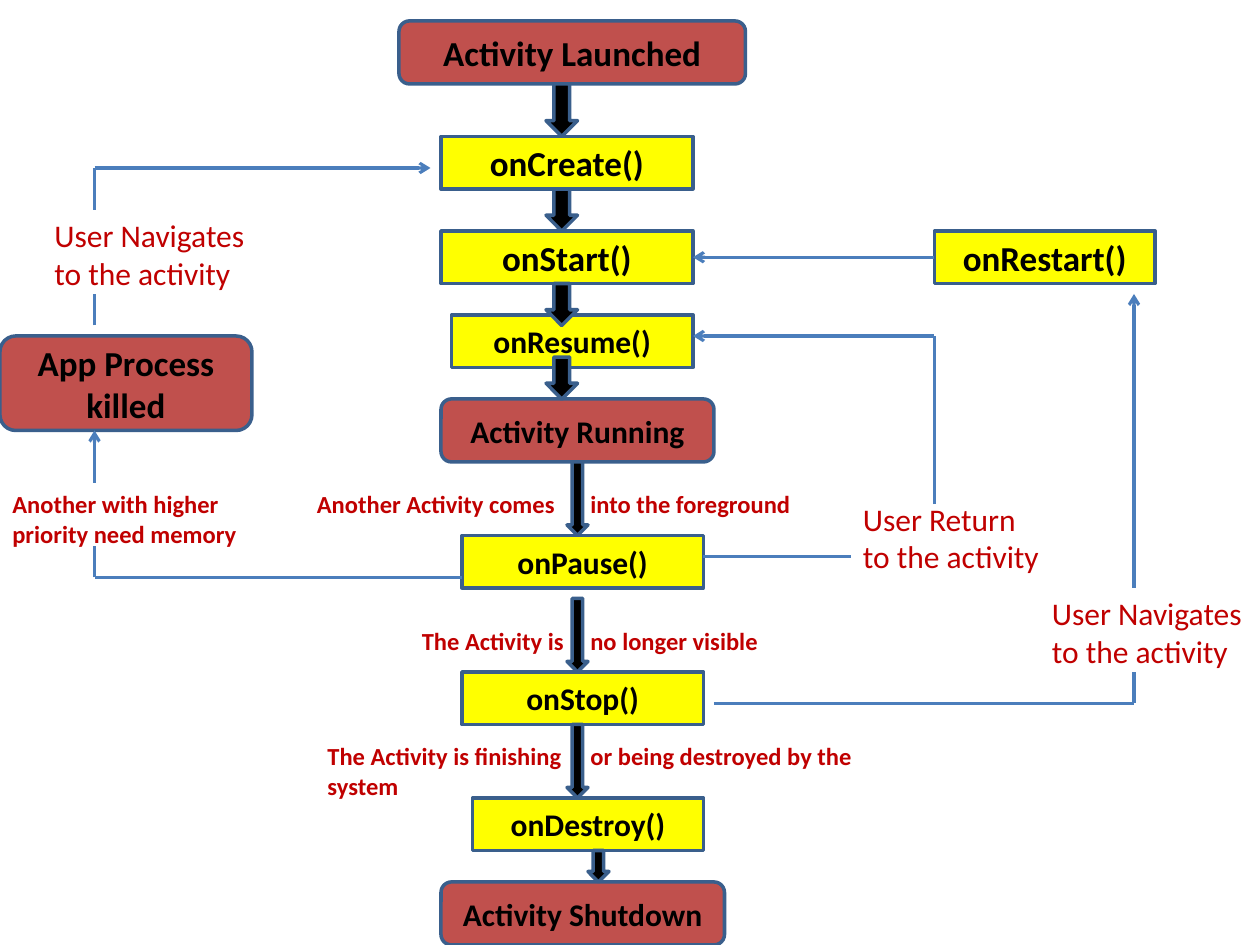
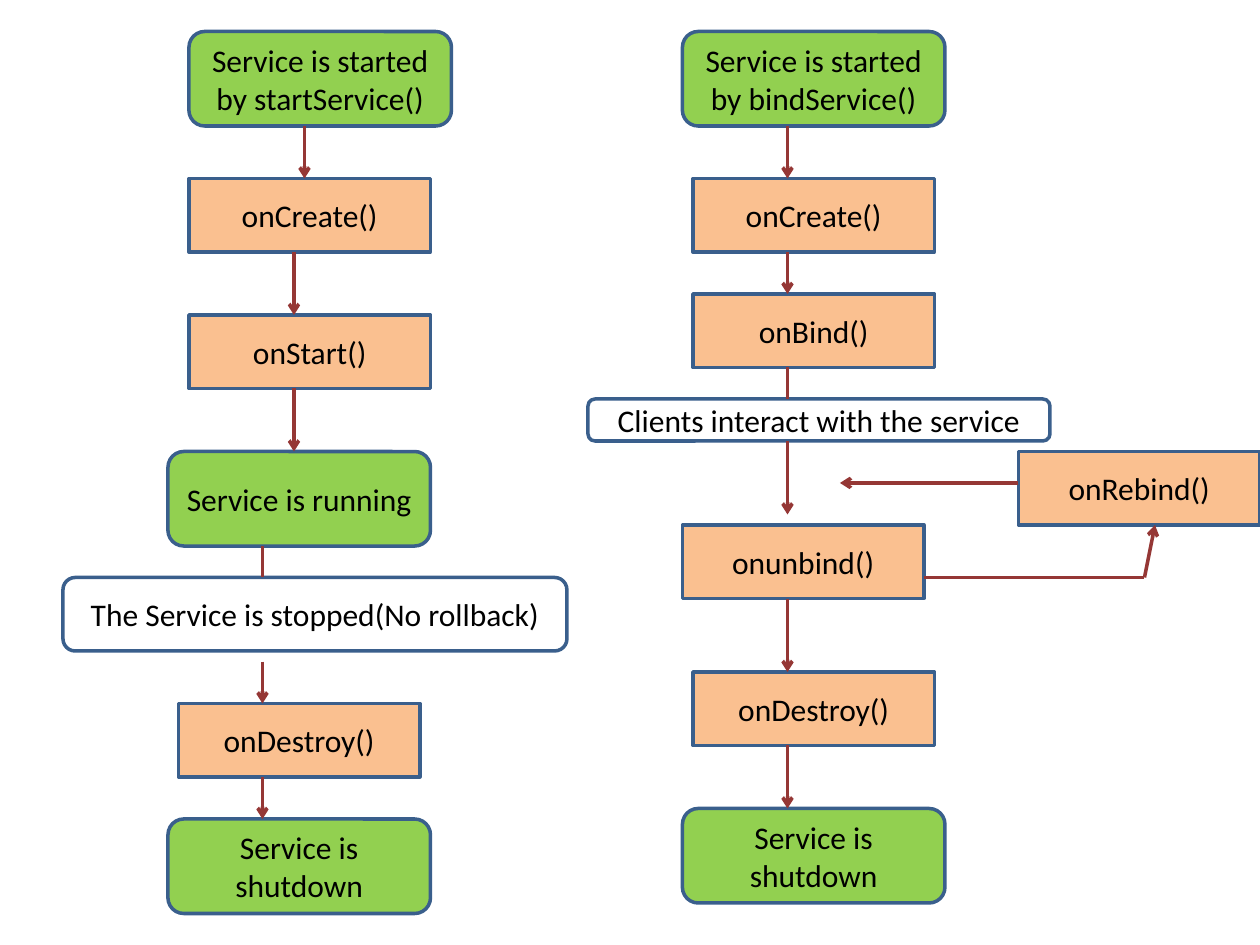
import dataclasses

import pptx
import pptx.dml.color
import pptx.enum.shapes
import pptx.enum.text
import pptx.oxml
import pptx.oxml.ns
import pptx.util
from lxml import etree

COLUMNS, ROWS = 120, 90
WIDTH, HEIGHT = pptx.util.Inches(10), pptx.util.Inches(7.5)
INSET = pptx.util.Inches(0.1)
SPLIT_COLUMN = 56.25

SHAPES = pptx.enum.shapes.MSO_SHAPE
RECT, ROUNDED, DOWN = SHAPES.RECTANGLE, SHAPES.ROUNDED_RECTANGLE, SHAPES.DOWN_ARROW


@dataclasses.dataclass(frozen=True)
class Theme:
    font: str = "Calibri"
    ink: str = "000000"
    outline: str = "3A5F8C"
    state: str = "C0504D"
    callback: str = "FFFF00"
    label: str = "C00000"
    activity_line: str = "4B7EBC"
    service_state: str = "92D050"
    service_callback: str = "FAC090"
    service_note: str = "FFFFFF"
    service_line: str = "953735"
    large: int = 20
    normal: int = 18
    small: int = 14
    border: float = 2
    thin: float = 1.75


THEME = Theme()


def across(columns):
    return round(WIDTH * columns / COLUMNS)


def down(rows):
    return round(HEIGHT * rows / ROWS)


def place(column, row, columns, rows):
    return across(column), down(row), across(columns), down(rows)


def rgb(value):
    return pptx.dml.color.RGBColor.from_string(value)


def write(para, text, size, color, bold):
    span = para.add_run()
    span.text = text
    span.font.name = THEME.font
    span.font.size = pptx.util.Pt(size)
    span.font.bold = bold
    span.font.color.rgb = rgb(color)


def add_outlined(page, kind, cell, fill):
    box = page.shapes.add_shape(kind, *place(*cell))
    box.shadow.inherit = False
    box.fill.solid()
    box.fill.fore_color.rgb = rgb(fill)
    box.line.color.rgb = rgb(THEME.outline)
    box.line.width = pptx.util.Pt(THEME.border)
    return box


def add_node(page, kind, cell, fill, text, size=THEME.normal, bold=False):
    box = add_outlined(page, kind, cell, fill)
    frame = box.text_frame
    frame.word_wrap = True
    frame.vertical_anchor = pptx.enum.text.MSO_ANCHOR.MIDDLE
    para = frame.paragraphs[0]
    para.alignment = pptx.enum.text.PP_ALIGN.CENTER
    write(para, text, size, THEME.ink, bold)
    return box


def add_label(page, cell, text, size=THEME.normal, bold=False):
    box = page.shapes.add_textbox(*place(*cell))
    frame = box.text_frame
    frame.word_wrap = True
    frame.auto_size = pptx.enum.text.MSO_AUTO_SIZE.SHAPE_TO_FIT_TEXT
    write(frame.paragraphs[0], text, size, THEME.label, bold)
    return frame.paragraphs[0]


def add_split_label(page, cell, before, after):
    para = add_label(page, cell, f"{before}\t{after}", THEME.small, True)
    properties = para._p.get_or_add_pPr()
    stops = etree.SubElement(properties, pptx.oxml.ns.qn("a:tabLst"))
    position = across(SPLIT_COLUMN - cell[0]) - INSET
    etree.SubElement(stops, pptx.oxml.ns.qn("a:tab"), pos=str(position), algn="l")


def add_line(page, start, end, color, width, arrow):
    line = page.shapes.add_connector(
        pptx.enum.shapes.MSO_CONNECTOR.STRAIGHT,
        across(start[0]), down(start[1]), across(end[0]), down(end[1]))
    line.line.color.rgb = rgb(color)
    line.line.width = pptx.util.Pt(width)
    properties = line.element.spPr
    if arrow:
        stroke = properties.find(pptx.oxml.ns.qn("a:ln"))
        etree.SubElement(stroke, pptx.oxml.ns.qn("a:tailEnd"), type="arrow")
    etree.SubElement(properties, pptx.oxml.ns.qn("a:effectLst"))
    return line


def add_route(page, points, color, width, arrow=True):
    last = len(points) - 2
    for index, (start, end) in enumerate(zip(points, points[1:])):
        add_line(page, start, end, color, width, arrow and index == last)


def build_activity_page(page):
    states = [
        ((38, 2, 33, 6), "Activity Launched", THEME.large),
        ((42, 38, 26, 6), "Activity Running", THEME.normal),
        ((42, 84, 27, 6), "Activity Shutdown", THEME.normal),
        ((0, 32, 24, 9), "App Process killed", THEME.large),
    ]
    for cell, text, size in states:
        add_node(page, ROUNDED, cell, THEME.state, text, size, True)

    callbacks = [
        (42, 13, 24, "onCreate()", THEME.large),
        (42, 22, 24, "onStart()", THEME.large),
        (43, 30, 23, "onResume()", THEME.normal),
        (44, 51, 23, "onPause()", THEME.normal),
        (44, 64, 23, "onStop()", THEME.normal),
        (45, 76, 22, "onDestroy()", THEME.normal),
        (89, 22, 21, "onRestart()", THEME.large),
    ]
    nodes = {
        text: add_node(page, RECT, (column, row, columns, 5),
                       THEME.callback, text, size, True)
        for column, row, columns, text, size in callbacks
    }

    add_split_label(page, (29, 46, 50, 4),
                    "Another Activity comes", "into the foreground")
    add_split_label(page, (39, 59, 37, 4),
                    "The Activity is", "no longer visible")
    add_split_label(page, (30, 70, 57, 7), "The Activity is finishing",
                    "or being destroyed by the system")
    add_label(page, (0, 46, 25, 7),
              "Another with higher priority need memory", THEME.small, True)
    add_label(page, (81, 47, 20, 8.5), "User Return to the activity")
    for column, row in [(99, 56), (4, 20)]:
        add_label(page, (column, row, 21, 8.5), "User Navigates to the activity")

    block_arrows = [(52, 8, 3, 5)]
    block_arrows += [(52, row, 3, 4) for row in (18, 27, 34)]
    block_arrows += [(54, row, 2, 7) for row in (44, 57, 69)]
    block_arrows += [(56, 81, 2, 3)]
    for cell in block_arrows:
        add_outlined(page, DOWN, cell, THEME.ink)

    routes = [
        ([(44, 55), (9, 55), (9, 52)], False),
        ([(9, 46), (9, 41)], True),
        ([(9, 31), (9, 28)], False),
        ([(9, 20), (9, 16), (41, 16)], True),
        ([(68, 67), (108, 67), (108, 64)], False),
        ([(108, 56), (108, 28)], True),
        ([(67, 53), (81, 53)], False),
        ([(89, 48), (89, 32), (66, 32)], True),
    ]
    for points, arrow in routes:
        add_route(page, points, THEME.activity_line, THEME.thin, arrow)

    restart = add_line(page, (89, 24.5), (66, 24.5),
                       THEME.activity_line, THEME.thin, True)
    restart.begin_connect(nodes["onRestart()"], 1)
    restart.end_connect(nodes["onStart()"], 3)


def build_service_page(page):
    states = [
        (18, 3, "Service is started by startService()"),
        (65, 3, "Service is started by bindService()"),
        (16, 43, "Service is running"),
        (16, 78, "Service is shutdown"),
        (65, 77, "Service is shutdown"),
    ]
    for column, row, text in states:
        add_node(page, ROUNDED, (column, row, 25, 9), THEME.service_state, text)

    callbacks = [
        (18, 17, "onCreate()"),
        (18, 30, "onStart()"),
        (17, 67, "onDestroy()"),
        (66, 17, "onCreate()"),
        (66, 28, "onBind()"),
        (65, 50, "onunbind()"),
        (66, 64, "onDestroy()"),
        (97, 43, "onRebind()"),
    ]
    for column, row, text in callbacks:
        add_node(page, RECT, (column, row, 23, 7), THEME.service_callback, text)

    notes = [
        ((56, 38, 44, 4), "Clients interact with the service"),
        ((6, 55, 48, 7), "The Service is stopped(No rollback)"),
    ]
    for cell, text in notes:
        add_node(page, ROUNDED, cell, THEME.service_note, text)

    drops = [
        (29, 12, 17), (28, 24, 30), (28, 37, 43), (25, 63, 67), (25, 74, 78),
        (75, 12, 17), (75, 24, 28), (75, 42, 49), (75, 57, 64), (75, 71, 77),
    ]
    routes = [([(column, top), (column, bottom)], True)
              for column, top, bottom in drops]
    routes += [
        ([(25, 52), (25, 55)], False),
        ([(75, 35), (75, 38)], False),
        ([(97, 46), (80, 46)], True),
        ([(88, 55), (109, 55), (110, 50)], True),
    ]
    for points, arrow in routes:
        add_route(page, points, THEME.service_line, THEME.border, arrow)


def main():
    deck = pptx.Presentation()
    deck.slide_width, deck.slide_height = WIDTH, HEIGHT
    blank = deck.slide_layouts[6]
    for build in (build_activity_page, build_service_page):
        build(deck.slides.add_slide(blank))
    deck.save("out.pptx")


if __name__ == "__main__":
    main()
